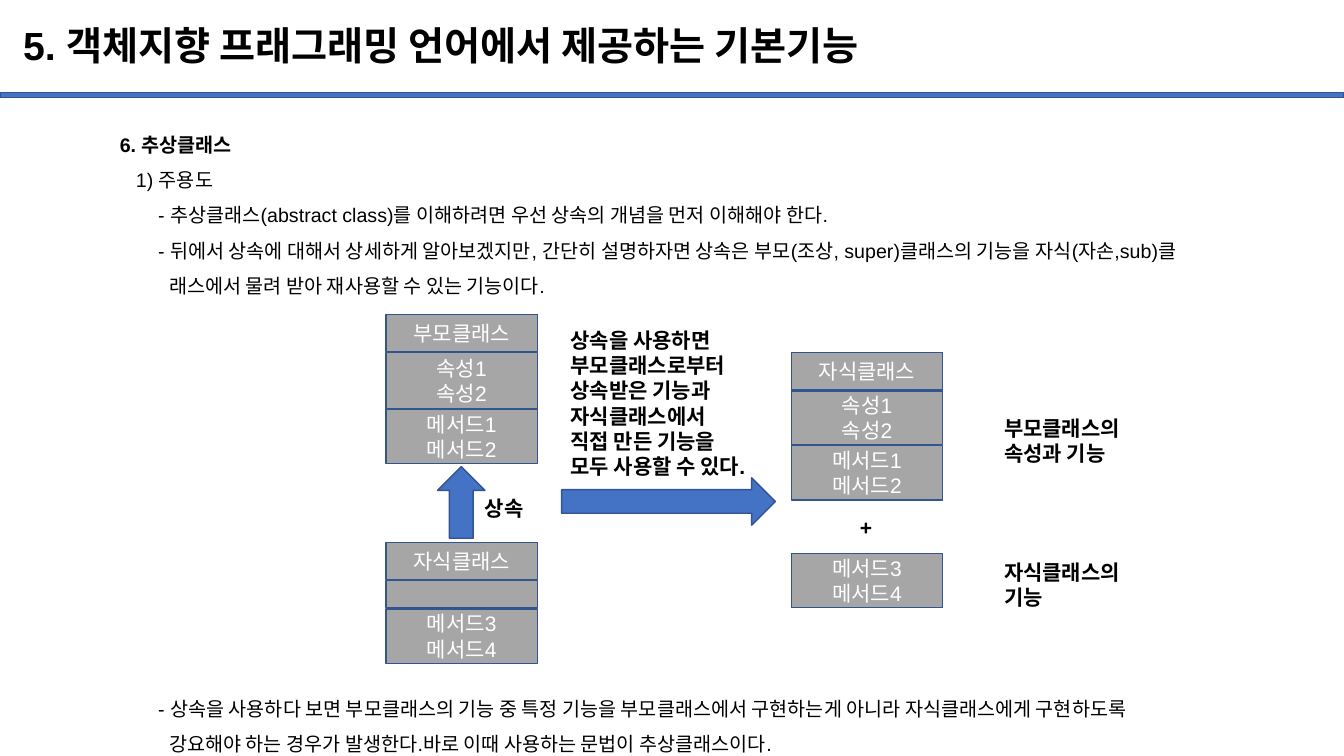
from pptx import Presentation, util as u
from pptx.dml.color import RGBColor
from pptx.enum import shapes, text

PX = 9144  # 100 px to the inch
FONT = "Arial"
BLACK = RGBColor(0x00, 0x00, 0x00)
WHITE = RGBColor(0xFF, 0xFF, 0xFF)
BLUE = RGBColor(0x44, 0x72, 0xC4)
NAVY = RGBColor(0x32, 0x54, 0x91)
GRAY = RGBColor(0xA6, 0xA6, 0xA6)


def px(*values):
    return [v * PX for v in values]


def add_run(p, words, size, color=BLACK, bold=False):
    r = p.add_run()
    r.text = words
    r.font.name, r.font.size, r.font.bold = FONT, u.Pt(size), bold
    r.font.color.rgb = color


def paragraphs(tf, count):
    return [tf.paragraphs[0]] + [tf.add_paragraph() for _ in range(count - 1)]


def add_block(s, kind, x, y, w, h, fill):
    sp = s.shapes.add_shape(kind, *px(x, y, w, h))
    sp.shadow.inherit = False
    sp.fill.solid()
    sp.fill.fore_color.rgb = fill
    sp.line.color.rgb = NAVY
    sp.line.width = u.Pt(1)
    return sp


def add_label(s, x, y, w, h, lines):
    tf = s.shapes.add_textbox(*px(x, y, w, h)).text_frame
    tf.word_wrap = False
    for p, line in zip(paragraphs(tf, len(lines)), lines):
        add_run(p, line, 15, bold=True)


def add_header(s, x, y, w, h):
    add_block(s, shapes.MSO_SHAPE.RECTANGLE, 0, y + 82, 1333, 5, BLUE)
    title = s.shapes.title
    title.left, title.top, title.width, title.height = px(x, y, w, h)
    tf = title.text_frame
    tf.auto_size = text.MSO_AUTO_SIZE.NONE
    tf.vertical_anchor = text.MSO_ANCHOR.MIDDLE
    p = tf.paragraphs[0]
    p.alignment = text.PP_ALIGN.LEFT
    p.line_spacing = 0.9
    add_run(p, "5. 객체지향 프래그래밍 언어에서 제공하는 기본기능", 28, bold=True)


def add_outline(s, x, y, w, h, items):
    """Each item: left margin, hanging indent, bold, lines."""
    tf = s.shapes.add_textbox(*px(x, y, w, h)).text_frame
    tf.word_wrap = True
    for p, (margin, hang, bold, lines) in zip(paragraphs(tf, len(items)), items):
        p.line_spacing = 1.5
        pPr = p._p.get_or_add_pPr()
        pPr.set("marL", str(margin * PX))
        pPr.set("indent", str(-hang * PX))
        for i, line in enumerate(lines):
            if i:
                p.add_line_break()
            add_run(p, line, 14, bold=bold)


def add_class_box(s, x, y, sections):
    """Stack (height, lines) cells downwards, 1 px apart."""
    for h, lines in sections:
        sp = add_block(s, shapes.MSO_SHAPE.RECTANGLE, x, y, 150, h, GRAY)
        tf = sp.text_frame
        tf.vertical_anchor = text.MSO_ANCHOR.MIDDLE
        for p, line in zip(paragraphs(tf, len(lines)), lines):
            p.alignment = text.PP_ALIGN.CENTER
            add_run(p, line, 15, WHITE)
        y += h + 1


def add_diagram(s, x, y):
    fields = ["속성1", "속성2"]
    inherited = (54, ["메서드1", "메서드2"])
    own = (54, ["메서드3", "메서드4"])
    child = (37, ["자식클래스"])
    right = x + 402

    # Parent above child
    add_class_box(s, x, y, [(37, ["부모클래스"]), (55, fields), inherited])
    add_class_box(s, x, y + 226, [child, (27, []), own])
    add_block(s, shapes.MSO_SHAPE.UP_ARROW, x + 51, y + 151, 47, 71, BLUE)
    add_label(s, x + 88, y + 175, 62, 35, ["상속"])

    # Child after inheriting
    add_class_box(s, right, y + 38, [child, (53, fields), inherited])
    add_class_box(s, right, y + 237, [own])
    add_label(s, right + 58, y + 194, 35, 35, ["+"])
    add_label(s, right + 201, y + 95, 146, 61, ["부모클래스의", "속성과 기능"])
    add_label(s, right + 201, y + 238, 146, 61, ["자식클래스의", "기능"])

    # Explanation between the two
    add_block(s, shapes.MSO_SHAPE.RIGHT_ARROW, x + 174, y + 162, 212, 47, BLUE)
    add_label(s, x + 173, y + 8, 216, 162, [
        "상속을 사용하면", "부모클래스로부터", "상속받은 기능과",
        "자식클래스에서", "직접 만든 기능을", "모두 사용할 수 있다."])


def main():
    prs = Presentation()
    prs.slide_width, prs.slide_height = u.Inches(13.33), u.Inches(7.5)
    s = prs.slides.add_slide(prs.slide_layouts[5])
    add_header(s, 13, 10, 1150, 74)
    add_outline(s, 109, 115, 1172, 190, [
        (0, 0, True, ["6. 추상클래스"]),
        (16, 0, False, ["1) 주용도"]),
        (49, 11, False, ["- 추상클래스(abstract class)를 이해하려면 우선 상속의 개념을 먼저 이해해야 한다."]),
        (49, 11, False, [
            "- 뒤에서 상속에 대해서 상세하게 알아보겠지만, 간단히 설명하자면 상속은 "
            "부모(조상, super)클래스의 기능을 자식(자손,sub)클",
            "래스에서 물려 받아 재사용할 수 있는 기능이다."]),
    ])
    add_diagram(s, 383, 312)
    add_outline(s, 109, 675, 1172, 75, [
        (49, 11, False, [
            "- 상속을 사용하다 보면 부모클래스의 기능 중 특정 기능을 "
            "부모클래스에서 구현하는게 아니라 자식클래스에게 구현하도록",
            "강요해야 하는 경우가 발생한다.바로 이때 사용하는 문법이 추상클래스이다."]),
    ])
    prs.save("out.pptx")


if __name__ == "__main__":
    main()
